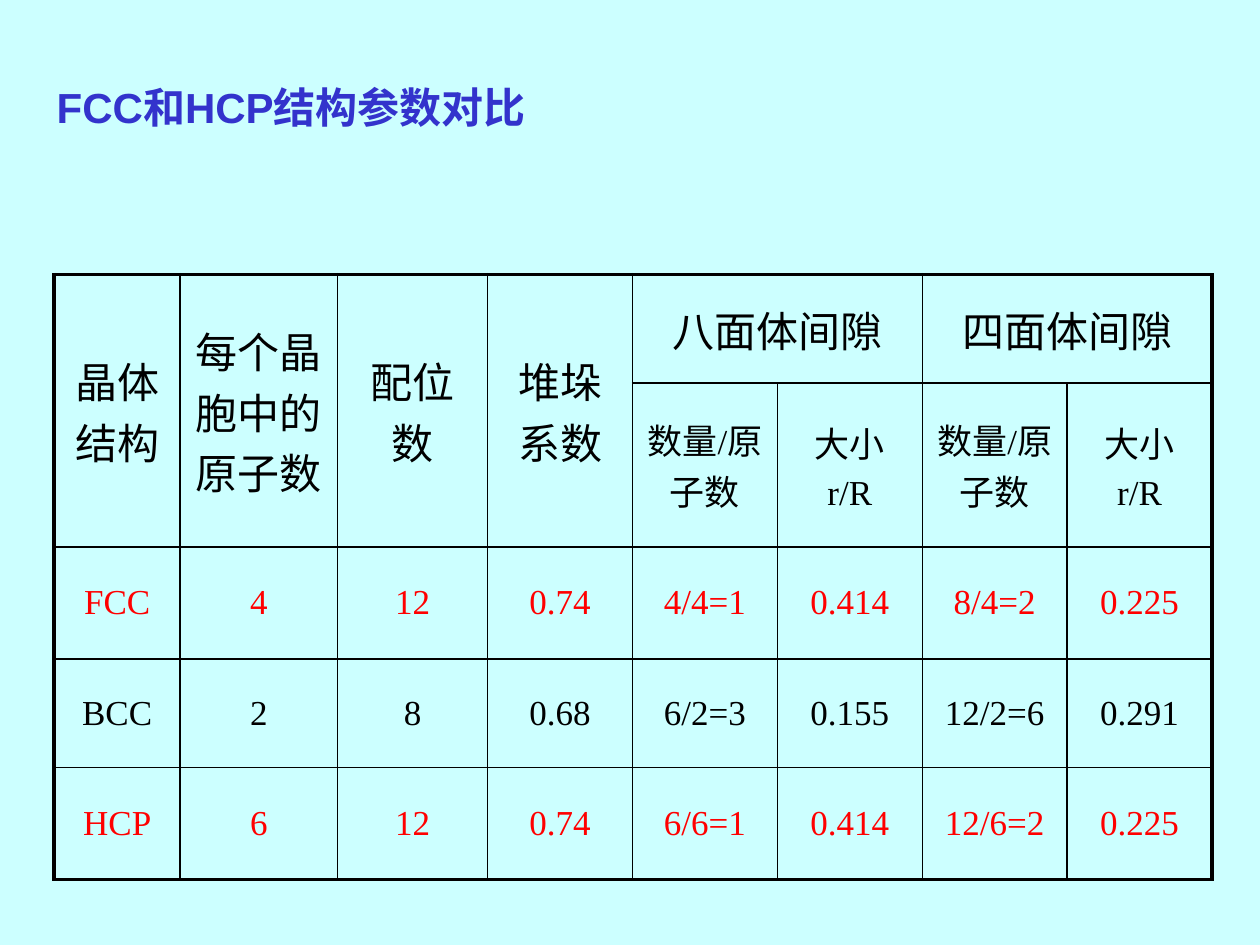
from lxml import etree
from pptx import Presentation
from pptx import util as u
from pptx.dml.color import RGBColor
from pptx.enum import text
from pptx.oxml import ns

COLORS = {"sky": "CCFFFF", "title": "3333CC", "ink": "000000", "accent": "FF0000"}
COLUMN_WIDTHS = [1, 1.25, 1.19] + [1.15] * 5
ROW_HEIGHTS = [0.86, 0.89, 0.89, 0.86, 0.89]
HEADERS = ["晶体结构", "每个晶胞中的原子数", "配位数", "堆垛系数", "八面体间隙", "", "四面体间隙", ""]
SUBHEADERS = [""] * 4 + ["数量/原子数", "大小\nr/R"] * 2
DATA = [
    ["FCC", "4", "12", "0.74", "4/4=1", "0.414", "8/4=2", "0.225"],
    ["BCC", "2", "8", "0.68", "6/2=3", "0.155", "12/2=6", "0.291"],
    ["HCP", "6", "12", "0.74", "6/6=1", "0.414", "12/6=2", "0.225"],
]
MERGES = [((0, column), (1, column)) for column in range(4)]
MERGES += [((0, column), (0, column + 1)) for column in (4, 6)]


def write(frame, content, size=20, color="ink", font="Times New Roman", bold=False,
          align=text.PP_ALIGN.CENTER, before=0.2):
    for index, line in enumerate(content.split("\n")):
        para = frame.add_paragraph() if index else frame.paragraphs[0]
        para.alignment = align
        para.space_before = u.Pt(size * before)
        span = para.add_run()
        span.text = line
        span.font.name = font
        span.font.size = u.Pt(size)
        span.font.bold = bold
        span.font.color.rgb = RGBColor.from_string(COLORS[color])


class Board:
    def __init__(self, deck):
        self.page = deck.slides.add_slide(deck.slide_layouts[5])
        fill = self.page.background.fill
        fill.solid()
        fill.fore_color.rgb = RGBColor.from_string(COLORS["sky"])

    def title(self, content, left, top, width, height):
        box = self.page.shapes.title
        box.left, box.top = u.Inches(left), u.Inches(top)
        box.width, box.height = u.Inches(width), u.Inches(height)
        frame = box.text_frame
        frame.word_wrap = True
        frame.auto_size = text.MSO_AUTO_SIZE.SHAPE_TO_FIT_TEXT
        frame.vertical_anchor = text.MSO_ANCHOR.TOP
        write(frame, content, size=24, color="title", font="Arial", bold=True,
              align=text.PP_ALIGN.LEFT, before=0)

    def borders(self, cell, widths):
        properties = cell._tc.get_or_add_tcPr()
        for index, (side, width) in enumerate(widths.items()):
            line = etree.Element(ns.qn("a:ln" + side), w=str(u.Pt(width)))
            fill = etree.SubElement(line, ns.qn("a:solidFill"))
            etree.SubElement(fill, ns.qn("a:srgbClr"), val=COLORS["ink"])
            properties.insert(index, line)

    def table(self, rows, left, top):
        frame = self.page.shapes.add_table(
            len(rows), len(COLUMN_WIDTHS), u.Inches(left), u.Inches(top),
            u.Inches(sum(COLUMN_WIDTHS)), u.Inches(sum(ROW_HEIGHTS)))
        table = frame.table
        table.first_row = table.horz_banding = False
        for column, width in zip(table.columns, COLUMN_WIDTHS):
            column.width = u.Inches(width)
        for row, height in zip(table.rows, ROW_HEIGHTS):
            row.height = u.Inches(height)
        for start, end in MERGES:
            table.cell(*start).merge(table.cell(*end))
        last_row, last_column = len(rows), len(COLUMN_WIDTHS)
        for r, values in enumerate(rows):
            for c, value in enumerate(values):
                cell = table.cell(r, c)
                cell.fill.background()
                cell.vertical_anchor = text.MSO_ANCHOR.MIDDLE
                right, bottom = c + 1, r + 1
                if cell.is_merge_origin:
                    right, bottom = c + cell.span_width, r + cell.span_height
                outer = {"L": c == 0, "R": right == last_column,
                         "T": r == 0, "B": bottom == last_row}
                self.borders(cell, {side: 2.25 if edge else 1 for side, edge in outer.items()})
                if value:
                    write(cell.text_frame, value, size=20 if r else 24,
                          color="accent" if values[0] in ("FCC", "HCP") else "ink")


deck = Presentation()
deck.slide_width, deck.slide_height = u.Inches(10), u.Inches(7.5)
board = Board(deck)
board.title("FCC和HCP结构参数对比", 0.35, 0.6, 3.96, 0.5)
board.table([HEADERS, SUBHEADERS] + DATA, 0.43, 2.18)
deck.save("out.pptx")
